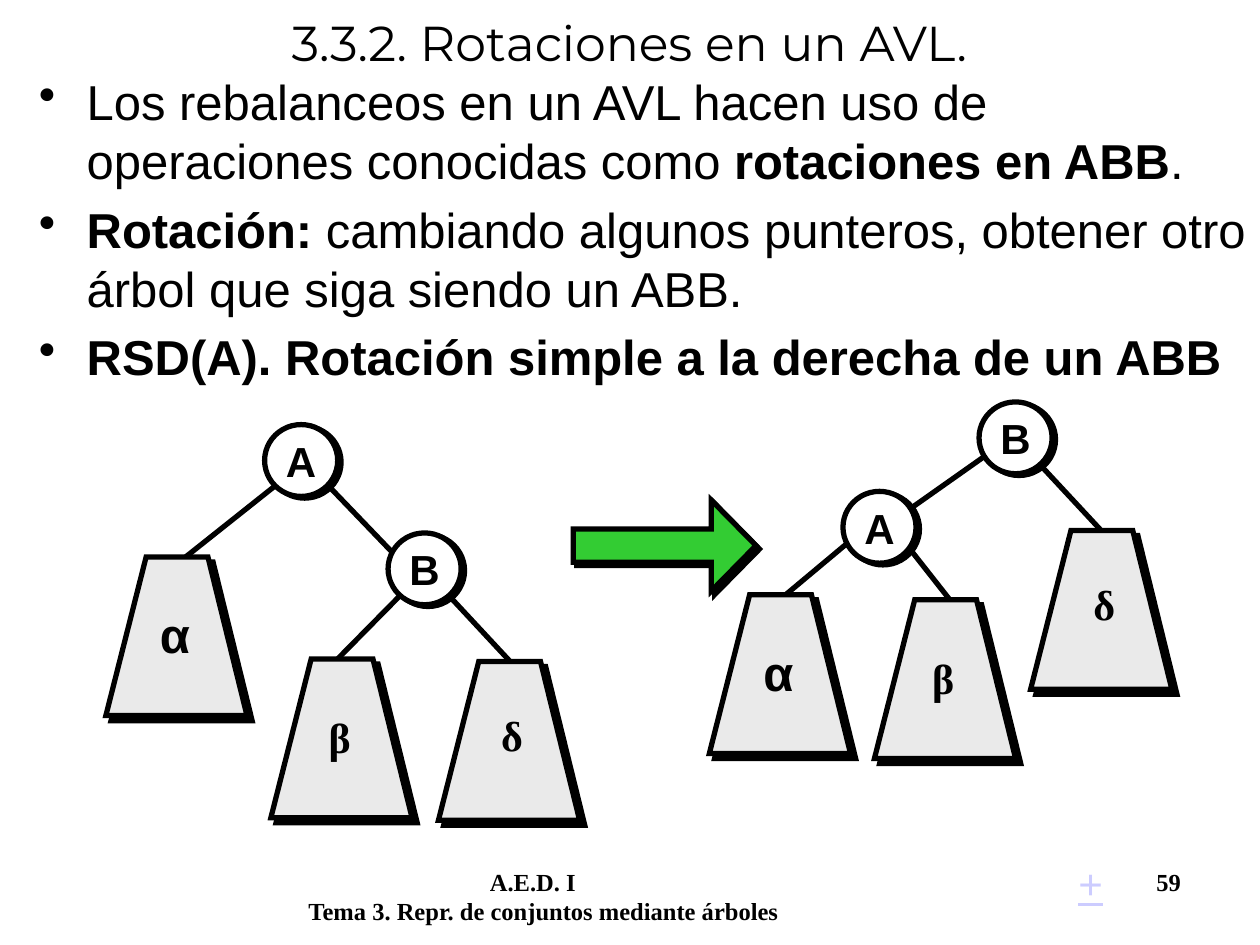
"""Builds the slide on simple rotations in an AVL tree."""
from dataclasses import dataclass

from lxml import etree
from pptx import Presentation
from pptx.dml.color import RGBColor
from pptx.enum.shapes import MSO_CONNECTOR, MSO_SHAPE
from pptx.enum.text import MSO_ANCHOR, PP_ALIGN
from pptx.oxml.ns import qn
from pptx.util import Inches, Pt

ELLIPSE, RIGHT_ARROW = MSO_SHAPE.OVAL, MSO_SHAPE.RIGHT_ARROW
STRAIGHT = MSO_CONNECTOR.STRAIGHT
TOP, MIDDLE = MSO_ANCHOR.TOP, MSO_ANCHOR.MIDDLE
LEFT, CENTER = PP_ALIGN.LEFT, PP_ALIGN.CENTER


@dataclass(frozen=True)
class Theme:
    ink: str = "000000"
    node: str = "FFFFFF"
    subtree: str = "EAEAEA"
    arrow: str = "33CC33"
    link: str = "CCCCFF"
    sans: str = "Arial"
    serif: str = "Times New Roman"
    heading: str = "Montserrat"
    large: int = 28
    medium: int = 24
    small: int = 14
    stroke: int = 3


THEME = Theme()
SUBTREE_LABELS = {
    "α": (0.33, 0.33, THEME.sans, THEME.large),
    "β": (0.36, 0.37, THEME.serif, THEME.medium),
    "δ": (0.40, 0.33, THEME.serif, THEME.medium),
}


def write(frame, paragraphs, *, font=THEME.sans, size=THEME.large, color=THEME.ink,
          bold=False, underline=None, align=LEFT, anchor=TOP, wrap=True,
          bullet=None, tabs=(), space_before=0, inset=(0.1, 0.05)):
    frame.word_wrap = wrap
    frame.vertical_anchor = anchor
    frame.margin_left = frame.margin_right = Inches(inset[0])
    frame.margin_top = frame.margin_bottom = Inches(inset[1])
    for index, parts in enumerate(paragraphs):
        paragraph = frame.add_paragraph() if index else frame.paragraphs[0]
        paragraph.alignment = align
        if index:
            paragraph.space_before = Pt(space_before)
        properties = paragraph._p.get_or_add_pPr()
        if bullet:
            properties.set("marL", str(Inches(0.38)))
            properties.set("indent", str(-Inches(0.38)))
            etree.SubElement(properties, qn("a:buChar"), char=bullet)
        if tabs:
            stops = etree.SubElement(properties, qn("a:tabLst"))
            for stop in tabs:
                etree.SubElement(stops, qn("a:tab"), pos=str(Inches(stop)), algn="l")
        for text, strong in parts:
            run = paragraph.add_run()
            run.text = text
            run.font.name, run.font.size = font, Pt(size)
            run.font.bold, run.font.underline = bold or strong, underline
            run.font.color.rgb = RGBColor.from_string(color)


class SlideBuilder:
    def __init__(self, slide, theme):
        self.slide = slide
        self.theme = theme

    def text(self, left, top, width, height, paragraphs, shapes=None, **style):
        shapes = shapes or self.slide.shapes
        box = shapes.add_textbox(*map(Inches, (left, top, width, height)))
        write(box.text_frame, paragraphs, **style)

    def paint(self, shape, fill, distance, angle):
        shape.fill.solid()
        shape.fill.fore_color.rgb = RGBColor.from_string(fill)
        shape.line.color.rgb = RGBColor.from_string(self.theme.ink)
        shape.line.width = Pt(self.theme.stroke)
        shape.shadow.inherit = False
        properties = shape._element.spPr
        etree.SubElement(properties.find(qn("a:ln")), qn("a:miter"), lim="800000")
        shadow = etree.SubElement(
            properties.find(qn("a:effectLst")), qn("a:outerShdw"), blurRad="0",
            dist=str(Pt(distance)), dir=str(angle * 60000), algn="ctr", rotWithShape="0")
        etree.SubElement(shadow, qn("a:srgbClr"), val=self.theme.ink)

    def edge(self, start, end):
        line = self.slide.shapes.add_connector(STRAIGHT, *map(Inches, (*start, *end)))
        line.line.color.rgb = RGBColor.from_string(self.theme.ink)
        line.line.width = Pt(self.theme.stroke)
        etree.SubElement(line._element.spPr, qn("a:effectLst"))

    def node(self, left, top, letter):
        circle = self.slide.shapes.add_shape(
            ELLIPSE, *map(Inches, (left, top, 0.58, 0.57)))
        self.paint(circle, self.theme.node, 2.2, 27)
        write(circle.text_frame, [[(letter, True)]], size=self.theme.medium,
              align=CENTER, anchor=MIDDLE, inset=(0.02, 0.01))

    def subtree(self, left, top, letter):
        group = self.slide.shapes.add_group_shape()
        outline = group.shapes.build_freeform(
            Inches(left), Inches(top + 1.26), scale=1.0)
        corners = ((0.32, 0), (0.81, 0), (1.12, 1.26))
        outline.add_line_segments(
            [(Inches(left + x), Inches(top + y)) for x, y in corners], close=True)
        self.paint(outline.convert_to_shape(), self.theme.subtree, 4.2, 45)
        x, y, font, size = SUBTREE_LABELS[letter]
        self.text(left + x, top + y, 0.6, 0.5, [[(letter, True)]],
                  shapes=group.shapes, font=font, size=size)

    def arrow(self, left, top, width, height):
        arrow = self.slide.shapes.add_shape(
            RIGHT_ARROW, *map(Inches, (left, top, width, height)))
        arrow.adjustments[0], arrow.adjustments[1] = 0.365, 0.492
        self.paint(arrow, self.theme.arrow, 2.8, 45)

    def tree(self, edges, nodes, subtrees):
        for start, end in edges:
            self.edge(start, end)
        for node in nodes:
            self.node(*node)
        for subtree in subtrees:
            self.subtree(*subtree)


def main():
    presentation = Presentation()
    presentation.slide_width, presentation.slide_height = Inches(10), Inches(7.5)
    slide = presentation.slides.add_slide(presentation.slide_layouts[6])
    builder = SlideBuilder(slide, THEME)

    builder.text(2.35, 6.83, 7.4, 0.5, [
        [("\tA.E.D. I\t59", True)],
        [("Tema 3. Repr. de conjuntos mediante árboles", True)],
    ], font=THEME.serif, size=THEME.small, tabs=(1.44, 6.73))
    builder.text(0.33, 0, 9.33, 0.67, [[("3.3.2. Rotaciones en un AVL.", False)]],
                 font=THEME.heading, align=CENTER, anchor=MIDDLE)
    builder.text(0.21, 0.52, 9.79, 2.71, [
        [("Los rebalanceos en un AVL hacen uso de operaciones conocidas como ", False),
         ("rotaciones en ABB", True), (".", False)],
        [("Rotación:", True),
         (" cambiando algunos punteros, obtener otro árbol que siga siendo un ABB.", False)],
        [("RSD(A). Rotación simple a la derecha de un ABB", True)],
    ], bullet="•", space_before=5.6)

    builder.tree(
        edges=[((3.34, 4.56), (2.63, 5.28)), ((3.37, 4.52), (4.17, 5.38)),
               ((2.39, 3.63), (3.11, 4.38)), ((2.38, 3.7), (1.31, 4.55))],
        nodes=[(2.1, 3.37, "A"), (3.08, 4.23, "B")],
        subtrees=[(0.84, 4.42, "α"), (2.15, 5.23, "β"), (3.48, 5.25, "δ")])
    builder.arrow(4.55, 3.97, 1.45, 0.72)
    builder.tree(
        edges=[((7.93, 3.54), (6.98, 4.21)), ((8.07, 3.49), (8.86, 4.34)),
               ((7.09, 4.19), (7.57, 4.8)), ((6.93, 4.14), (6.14, 4.8))],
        nodes=[(6.69, 3.9, "A"), (7.77, 3.19, "B")],
        subtrees=[(5.63, 4.72, "α"), (6.94, 4.76, "β"), (8.18, 4.21, "δ")])
    builder.text(8.46, 6.76, 0.4, 0.5, [[("+", False)]], size=THEME.medium,
                 color=THEME.link, underline=True, wrap=False)

    presentation.save("out.pptx")


if __name__ == "__main__":
    main()
